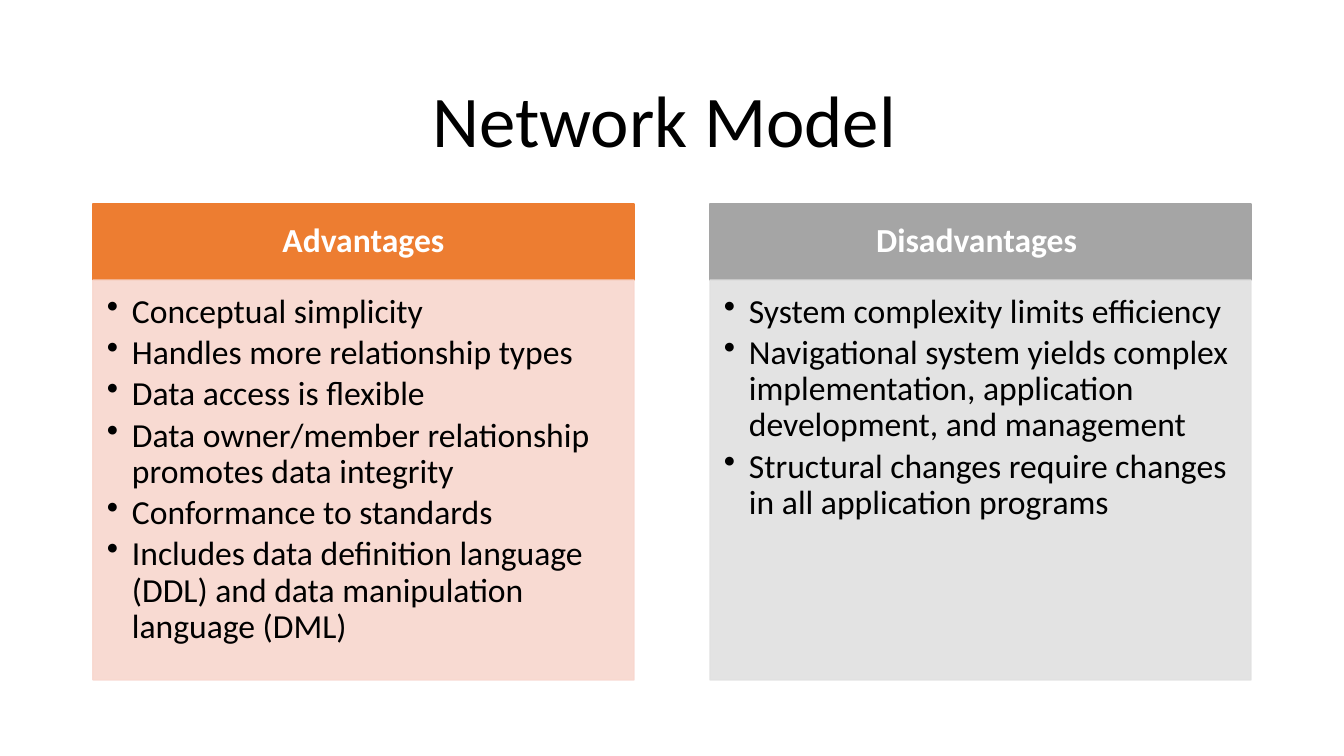
import pptx
import pptx.dml.color
import pptx.enum.shapes
import pptx.enum.text
import pptx.oxml.ns
import pptx.util
from lxml import etree

RGBColor = pptx.dml.color.RGBColor
ALIGN = pptx.enum.text.PP_ALIGN
ANCHOR = pptx.enum.text.MSO_ANCHOR

BLACK = RGBColor(0x00, 0x00, 0x00)
WHITE = RGBColor(0xFF, 0xFF, 0xFF)
ORANGE = RGBColor(0xED, 0x7D, 0x31)
PALE_ORANGE = RGBColor(0xF8, 0xD7, 0xCE)
GRAY = RGBColor(0xA5, 0xA5, 0xA5)
PALE_GRAY = RGBColor(0xE1, 0xE1, 0xE1)

PX = 914400 / 100.8
COLUMN_LEFT, COLUMN_WIDTH, COLUMN_PITCH = 93, 541, 617
HEADER_TOP, HEADER_HEIGHT, BODY_HEIGHT = 204, 76, 400

COLUMNS = [
    ("Advantages", ORANGE, PALE_ORANGE, [
        "Conceptual simplicity",
        "Handles more relationship types",
        "Data access is flexible",
        "Data owner/member relationship promotes data integrity",
        "Conformance to standards",
        "Includes data definition language (DDL) and data manipulation language (DML)",
    ]),
    ("Disadvantages ", GRAY, PALE_GRAY, [
        "System complexity limits efficiency",
        "Navigational system yields complex implementation, application development, and management",
        "Structural changes require changes in all application programs",
    ]),
]


def px(*lengths):
    """Turn pixel lengths into a list of EMU."""
    return [round(length * PX) for length in lengths]


def write(shape, lines, size, color, align, anchor, insets, gap=0, bold=False):
    """Fill a shape with one paragraph per line and return the paragraphs."""
    frame = shape.text_frame
    frame.word_wrap = True
    frame.vertical_anchor = anchor
    (frame.margin_left, frame.margin_top,
     frame.margin_right, frame.margin_bottom) = px(*insets)
    frame.text = "\n".join(lines)
    for paragraph in frame.paragraphs:
        paragraph.alignment = align
        paragraph.line_spacing = 0.9
        paragraph.space_after = pptx.util.Pt(gap)
        paragraph.font.name = "Calibri"
        paragraph.font.size = pptx.util.Pt(size)
        paragraph.font.bold = bold
        paragraph.font.color.rgb = color
    return frame.paragraphs


deck = pptx.Presentation()
deck.slide_width, deck.slide_height = px(1344, 756)
slide = deck.slides.add_slide(deck.slide_layouts[6])

title = slide.shapes.add_textbox(*px(COLUMN_LEFT, 61, 1159, 125))
write(title, ["Network Model "], 52, BLACK, ALIGN.CENTER, ANCHOR.MIDDLE, (10, 5, 10, 5))

for index, (heading, header_color, body_color, points) in enumerate(COLUMNS):
    left = COLUMN_LEFT + index * COLUMN_PITCH
    header, body = [
        slide.shapes.add_shape(pptx.enum.shapes.MSO_SHAPE.RECTANGLE,
                               *px(left, top, COLUMN_WIDTH, height))
        for top, height in ((HEADER_TOP, HEADER_HEIGHT),
                            (HEADER_TOP + HEADER_HEIGHT, BODY_HEIGHT))
    ]
    for box, color in ((header, header_color), (body, body_color)):
        box.shadow.inherit = False
        box.fill.solid()
        box.fill.fore_color.rgb = color
        box.line.color.rgb = color
        box.line.width = pptx.util.Pt(1)

    for paint in body._element.spPr.iter(pptx.oxml.ns.qn("a:srgbClr")):
        etree.SubElement(paint, pptx.oxml.ns.qn("a:alpha"), val="90000")

    write(header, [heading], 24, WHITE, ALIGN.CENTER, ANCHOR.MIDDLE,
          (19, 11, 19, 11), bold=True)
    bullets = write(body, points, 24, BLACK, ALIGN.LEFT, ANCHOR.TOP,
                    (14, 14, 19, 21), gap=3.6)
    indent = px(25)[0]
    for bullet in bullets:
        properties = bullet._p.get_or_add_pPr()
        properties.set("marL", str(indent))
        properties.set("indent", str(-indent))
        mark = etree.Element(pptx.oxml.ns.qn("a:buChar"), char="•")
        properties.find(pptx.oxml.ns.qn("a:defRPr")).addprevious(mark)

deck.save("out.pptx")
